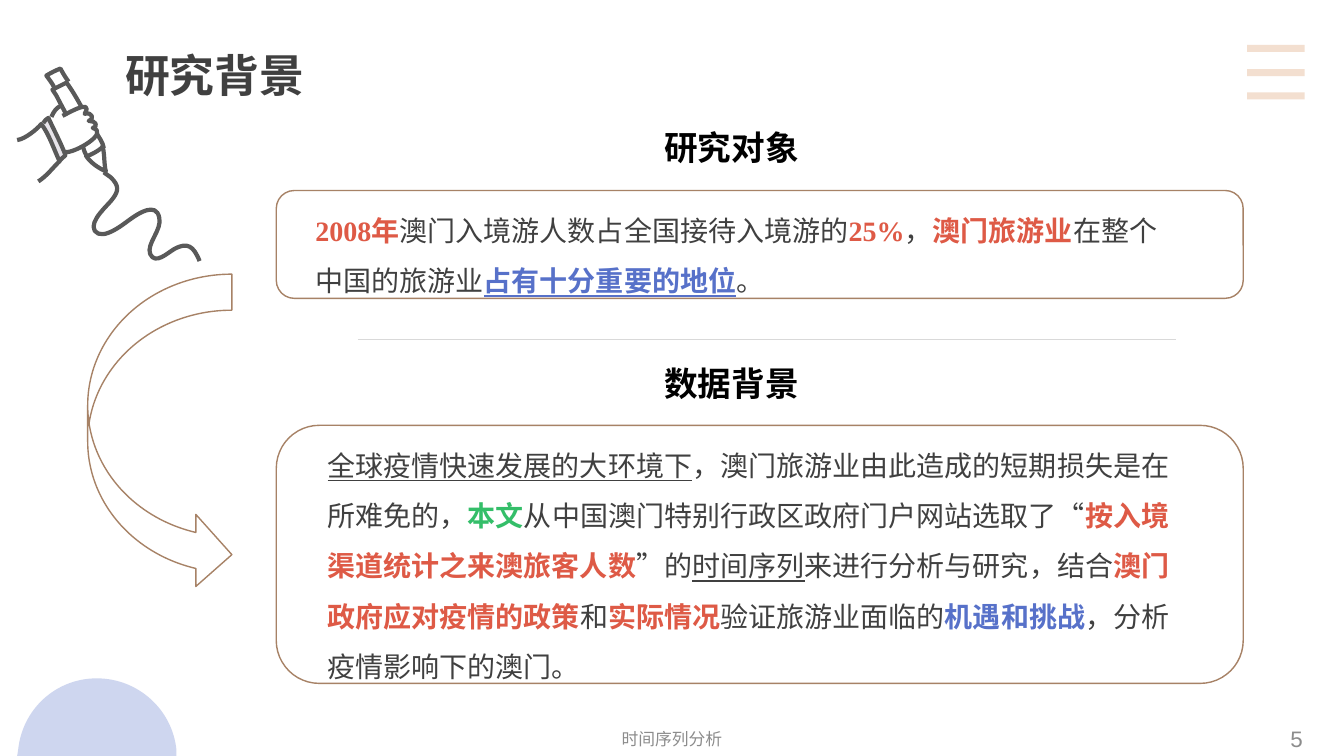
import lxml.etree
import pptx
import pptx.dml.color
import pptx.enum.lang
import pptx.enum.shapes
import pptx.enum.text
import pptx.oxml.ns
import pptx.util

RGBColor = pptx.dml.color.RGBColor
ALIGN = pptx.enum.text.PP_ALIGN
ANCHOR = pptx.enum.text.MSO_ANCHOR
SHAPE = pptx.enum.shapes.MSO_SHAPE
qn = pptx.oxml.ns.qn

PX = 9144  # one px is a hundredth of an inch

WHITE = RGBColor(0xFF, 0xFF, 0xFF)
BLACK = RGBColor(0x00, 0x00, 0x00)
DARK = RGBColor(0x40, 0x40, 0x40)
INK = RGBColor(0x59, 0x59, 0x59)
SLEEVE = RGBColor(0xE7, 0xE4, 0xEA)
GREY = RGBColor(0x8C, 0x8C, 0x8C)
RULE = RGBColor(0xD9, 0xD9, 0xD9)
BROWN = RGBColor(0xA7, 0x82, 0x66)
SAND = RGBColor(0xE2, 0xB0, 0x8A)
LILAC = RGBColor(0x9F, 0xAE, 0xE0)
RED = RGBColor(0xDE, 0x5A, 0x46)
BLUE = RGBColor(0x57, 0x71, 0xC9)
GREEN = RGBColor(0x34, 0xBE, 0x69)

CJK = "Noto Sans CJK SC"
SERIF = "Times New Roman"
SANS = "Arial"

# Run styles: colour, bold, underline
PLAIN = (DARK, False, False)
UNDERLINED = (DARK, False, True)
KEY = (RED, True, False)
KEY_BLUE = (BLUE, True, False)
KEY_BLUE_UNDERLINED = (BLUE, True, True)
KEY_GREEN = (GREEN, True, False)

SUBJECT_TEXT = [
    ("2008年", KEY), ("澳门入境游人数占全国接待入境游的", PLAIN), ("25%", KEY),
    ("，", PLAIN), ("澳门旅游业", KEY), ("在整个中国的旅游业", PLAIN),
    ("占有十分重要的地位", KEY_BLUE_UNDERLINED), ("。", PLAIN),
]
DATA_TEXT = [
    ("全球疫情快速发展的大环境下", UNDERLINED),
    ("，澳门旅游业由此造成的短期损失是在所难免的，", PLAIN), ("本文", KEY_GREEN),
    ("从中国澳门特别行政区政府门户网站选取了“", PLAIN),
    ("按入境渠道统计之来澳旅客人数", KEY), ("”的", PLAIN),
    ("时间序列", UNDERLINED), ("来进行分析与研究，结合", PLAIN),
    ("澳门政府应对疫情的政策", KEY), ("和", PLAIN), ("实际情况", KEY),
    ("验证旅游业面临的", PLAIN), ("机遇和挑战", KEY_BLUE),
    ("，分析疫情影响下的澳门。", PLAIN),
]

# Outlines: a start point, then lines (2 numbers) and Bézier curves (6 numbers)
HALF_DISC = [(175, 750), (17, 750), (18, 744), (22, 704, 55, 673, 96, 673),
             (137, 673, 171, 704, 175, 744)]
PEN_PARTS = [
    # Squiggle
    ([(103, 171), (106, 173, 107, 174, 110, 176), (118, 184, 118, 189, 112, 197),
      (108, 203, 88, 219, 94, 229), (102, 240, 124, 221, 130, 217),
      (137, 212, 155, 200, 158, 216), (161, 228, 145, 242, 149, 252),
      (154, 263, 166, 251, 173, 247), (186, 240, 192, 244, 198, 259)], None),
    # Barrel and its collar
    ([(103, 147), (102, 141, 98, 136, 95, 131), (85, 115, 77, 97, 66, 82), (52, 89),
      (56, 95), (60, 103, 74, 129, 79, 138), (82, 143, 83, 150, 86, 155)], WHITE),
    ([(102, 145), (101, 148, 90, 154, 86, 155)], None),
    # Hand
    ([(51, 116), (53, 111, 56, 107, 60, 105)], None),
    ([(62, 115), (63, 115, 94, 96, 84, 113), (88, 112, 90, 113, 91, 115),
      (92, 116, 91, 119, 88, 120), (92, 121, 94, 120, 95, 123),
      (96, 125, 94, 127, 92, 127), (109, 132, 74, 152, 65, 151)], WHITE),
    # Cuff and sleeve
    ([(43, 122), (44, 120, 46, 118, 48, 117), (54, 130, 60, 141, 65, 154),
      (62, 156, 60, 159, 58, 161)], SLEEVE),
    ([(17, 139), (25, 138, 37, 128, 41, 123), (49, 134, 53, 147, 59, 160),
      (52, 167, 46, 175, 38, 180)], None),
    # Cap and nib
    ([(68, 81), (65, 77, 62, 72, 60, 68), (55, 70, 51, 72, 46, 75),
      (49, 79, 52, 83, 54, 87)], None),
    ([(85, 154), (89, 161, 98, 167, 105, 170), (103, 162, 104, 154, 102, 146)], None),
]


def emu(*lengths):
    return [pptx.util.Emu(length * PX) for length in lengths]


def set_alpha(fill_parent, percent):
    colour = next(fill_parent.iter(qn("a:srgbClr")))
    lxml.etree.SubElement(colour, qn("a:alpha")).set("val", str(percent * 1000))


def paint(shape, fill=None, line=None, width=1):
    shape.shadow.inherit = False
    if fill is None:
        shape.fill.background()
    else:
        shape.fill.solid()
        shape.fill.fore_color.rgb = fill
    if line is None:
        shape.line.fill.background()
    else:
        shape.line.color.rgb = line
        shape.line.width = pptx.util.Pt(width)


def add_outline(shapes, outline, fill, line=None, width=3, closed=False):
    points = [segment[i:i + 2] for segment in outline for i in range(0, len(segment), 2)]
    builder = shapes.build_freeform(*points[0], scale=float(PX))
    builder.add_line_segments(points[1:], close=closed)
    shape = builder.convert_to_shape()
    # Join each three control points into one curve
    steps = iter(list(shape.element.iter(qn("a:lnTo"))))
    for segment in outline[1:]:
        step = next(steps)
        if len(segment) == 6:
            curve = lxml.etree.Element(qn("a:cubicBezTo"))
            step.addprevious(curve)
            for control in (step, next(steps), next(steps)):
                curve.append(control[0])
                control.getparent().remove(control)
    paint(shape, fill, line, width)
    return shape


def add_rule(slide, left, right, y, colour, width):
    rule = slide.shapes.add_connector(
        pptx.enum.shapes.MSO_CONNECTOR.STRAIGHT, *emu(left, y, right, y))
    rule.line.color.rgb = colour
    rule.line.width = pptx.util.Pt(width)
    lxml.etree.SubElement(rule.element.spPr, qn("a:effectLst"))
    return rule


def add_shape(slide, kind, box, fill=None):
    paint(slide.shapes.add_shape(kind, *emu(*box)), fill, BROWN)


def write(shape, runs, size, font, align=ALIGN.LEFT, anchor=ANCHOR.TOP, spacing=1.0):
    frame = shape.text_frame
    frame.word_wrap = True
    frame.auto_size = pptx.enum.text.MSO_AUTO_SIZE.NONE
    frame.vertical_anchor = anchor
    paragraph = frame.paragraphs[0]
    paragraph.alignment = align
    paragraph.line_spacing = spacing
    for text, (colour, bold, underline) in runs:
        run = paragraph.add_run()
        run.text = text
        run.font.size = pptx.util.Pt(size)
        run.font.name = font
        run.font.bold = bold
        run.font.underline = underline
        run.font.color.rgb = colour
        run.font.language_id = pptx.enum.lang.MSO_LANGUAGE_ID.SIMPLIFIED_CHINESE
        east_asian = lxml.etree.Element(qn("a:ea"), typeface=CJK)
        run.font._element.find(qn("a:latin")).addnext(east_asian)


def add_text(slide, box, runs, size, font, **layout):
    write(slide.shapes.add_textbox(*emu(*box)), runs, size, font, **layout)


def add_section(slide, heading, heading_top, panel, text_left, runs):
    add_text(slide, (649, heading_top, 184, 50), [(heading, (BLACK, True, False))],
             24, CJK, align=ALIGN.JUSTIFY)
    add_shape(slide, SHAPE.ROUNDED_RECTANGLE, panel, WHITE)
    add_text(slide, (text_left, panel[1] + 1, 878, panel[3]), runs, 20, SERIF, spacing=1.5)


def main():
    presentation = pptx.Presentation()
    presentation.slide_width, presentation.slide_height = emu(1333, 750)
    slide = presentation.slides.add_slide(presentation.slide_layouts[5])

    # Title
    title = slide.shapes.title
    title.left, title.top, title.width, title.height = emu(114, 42, 271, 64)
    write(title, [("研究背景", (DARK, True, False))], 32, CJK, align=ALIGN.JUSTIFY)

    # Corner ornaments
    for y in (48, 72, 95):
        bar = add_rule(slide, 1237, 1294, y, SAND, 5)
        set_alpha(bar.element.spPr, 40)
    disc = add_outline(slide.shapes, HALF_DISC, LILAC, closed=True)
    set_alpha(disc.element.spPr, 50)

    # Hand with pen
    pen = slide.shapes.add_group_shape()
    for outline, fill in PEN_PARTS:
        add_outline(pen.shapes, outline, fill, INK)

    # Sections, joined by the arrow
    add_section(slide, "研究对象", 121, (274, 189, 959, 107), 303, SUBJECT_TEXT)
    add_section(slide, "数据背景", 355, (274, 422, 959, 256), 315, DATA_TEXT)
    add_shape(slide, SHAPE.CURVED_RIGHT_ARROW, (87, 272, 143, 314))
    add_rule(slide, 355, 1166, 337, RULE, 0.25)

    # Footer
    footer_style = (GREY, False, False)
    add_text(slide, (450, 715, 433, 35), [("时间序列分析", footer_style)], 12, SANS,
             align=ALIGN.CENTER, anchor=ANCHOR.MIDDLE)
    add_text(slide, (1007, 715, 295, 35), [("5", footer_style)], 16, SANS,
             align=ALIGN.RIGHT, anchor=ANCHOR.MIDDLE)

    presentation.save("out.pptx")


if __name__ == "__main__":
    main()
